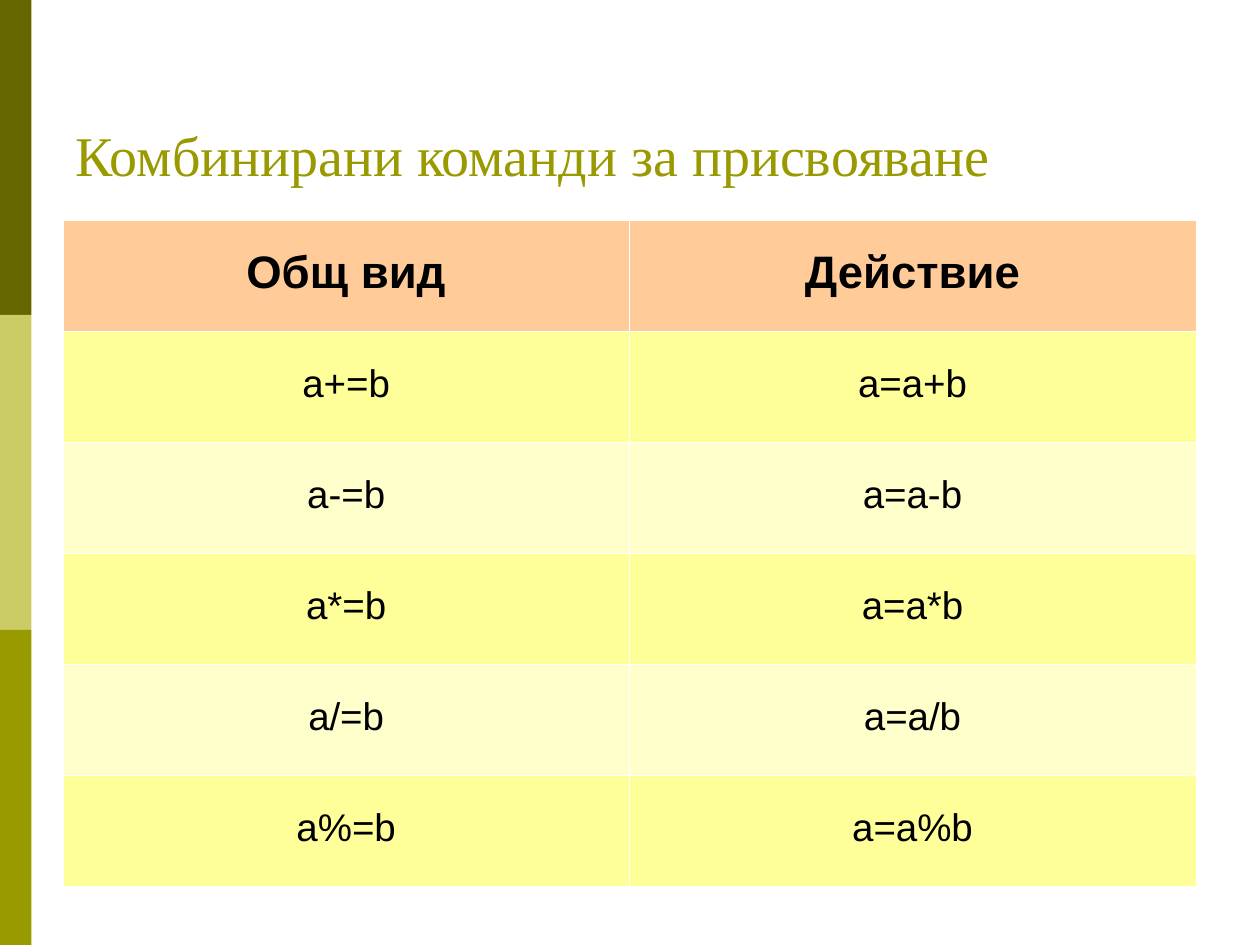
from dataclasses import dataclass

from lxml.etree import SubElement
from pptx import Presentation
from pptx.dml.color import RGBColor
from pptx.enum.shapes import MSO_SHAPE
from pptx.enum.text import MSO_ANCHOR, PP_ALIGN
from pptx.oxml.ns import qn
from pptx.util import Inches, Pt

COLORS = {
    "dark_olive": "666600",
    "light_olive": "CCCC66",
    "olive": "999900",
    "header": "FFCC99",
    "odd_row": "FFFF99",
    "even_row": "FFFFCC",
    "text": "000000",
    "border": "FFFFFF",
}
BORDER_WIDTH = Pt(0.06)
BAND_HEIGHT = 2.5


@dataclass
class TextStyle:
    font: str
    size: float
    color: str
    bold: bool = False


@dataclass
class Row:
    form: str
    action: str


TITLE = TextStyle("Times New Roman", 32, "olive")
HEADER = TextStyle("Arial", 26, "text", bold=True)
BODY = TextStyle("Arial", 22, "text")

ROWS = [Row("Общ вид", "Действие")] + [
    Row(f"a{op}=b", f"a=a{op}b") for op in "+-*/%"
]


def rgb(name: str) -> RGBColor:
    return RGBColor.from_string(COLORS[name])


def write(tf, text: str, style: TextStyle):
    tf.text = text
    p = tf.paragraphs[0]
    font = p.runs[0].font
    font.name = style.font
    font.size = Pt(style.size)
    font.bold = style.bold
    font.color.rgb = rgb(style.color)
    return p


def add_band(slide, index: int, color: str) -> None:
    sp = slide.shapes.add_shape(
        MSO_SHAPE.RECTANGLE, Inches(0), Inches(index * BAND_HEIGHT),
        Inches(0.25), Inches(BAND_HEIGHT))
    sp.shadow.inherit = False
    sp.fill.solid()
    sp.fill.fore_color.rgb = rgb(color)
    sp.line.fill.background()


def set_borders(cell) -> None:
    tc_pr = cell._tc.get_or_add_tcPr()
    for index, side in enumerate(("lnL", "lnR", "lnT", "lnB")):
        ln = SubElement(tc_pr, qn(f"a:{side}"), w=str(BORDER_WIDTH))
        fill = SubElement(ln, qn("a:solidFill"))
        SubElement(fill, qn("a:srgbClr"), val=COLORS["border"])
        # Borders come before the cell fill
        tc_pr.insert(index, ln)


def fill_cell(cell, text: str, style: TextStyle, color: str) -> None:
    p = write(cell.text_frame, text, style)
    p.alignment = PP_ALIGN.CENTER
    p.line_spacing = 0.83
    cell.vertical_anchor = MSO_ANCHOR.MIDDLE
    cell.fill.solid()
    cell.fill.fore_color.rgb = rgb(color)
    set_borders(cell)


def add_operator_table(slide, rows: list[Row]) -> None:
    table = slide.shapes.add_table(
        len(rows), 2, Inches(0.5), Inches(1.75),
        Inches(8.99), Inches(5.28)).table
    for i, row in enumerate(rows):
        style = BODY if i else HEADER
        color = ("odd_row" if i % 2 else "even_row") if i else "header"
        for j, text in enumerate((row.form, row.action)):
            fill_cell(table.cell(i, j), text, style, color)


def main() -> None:
    prs = Presentation()
    prs.slide_width, prs.slide_height = Inches(10), Inches(7.5)
    slide = prs.slides.add_slide(prs.slide_layouts[6])

    # Side bands
    for i, color in enumerate(("dark_olive", "light_olive", "olive")):
        add_band(slide, i, color)

    # Title
    box = slide.shapes.add_textbox(
        Inches(0.5), Inches(-0.75), Inches(8.99), Inches(2.29))
    tf = box.text_frame
    tf.word_wrap = True
    tf.vertical_anchor = MSO_ANCHOR.BOTTOM
    write(tf, "Комбинирани команди за присвояване", TITLE)

    # Compound assignment operators
    add_operator_table(slide, ROWS)

    prs.save("out.pptx")


if __name__ == "__main__":
    main()
